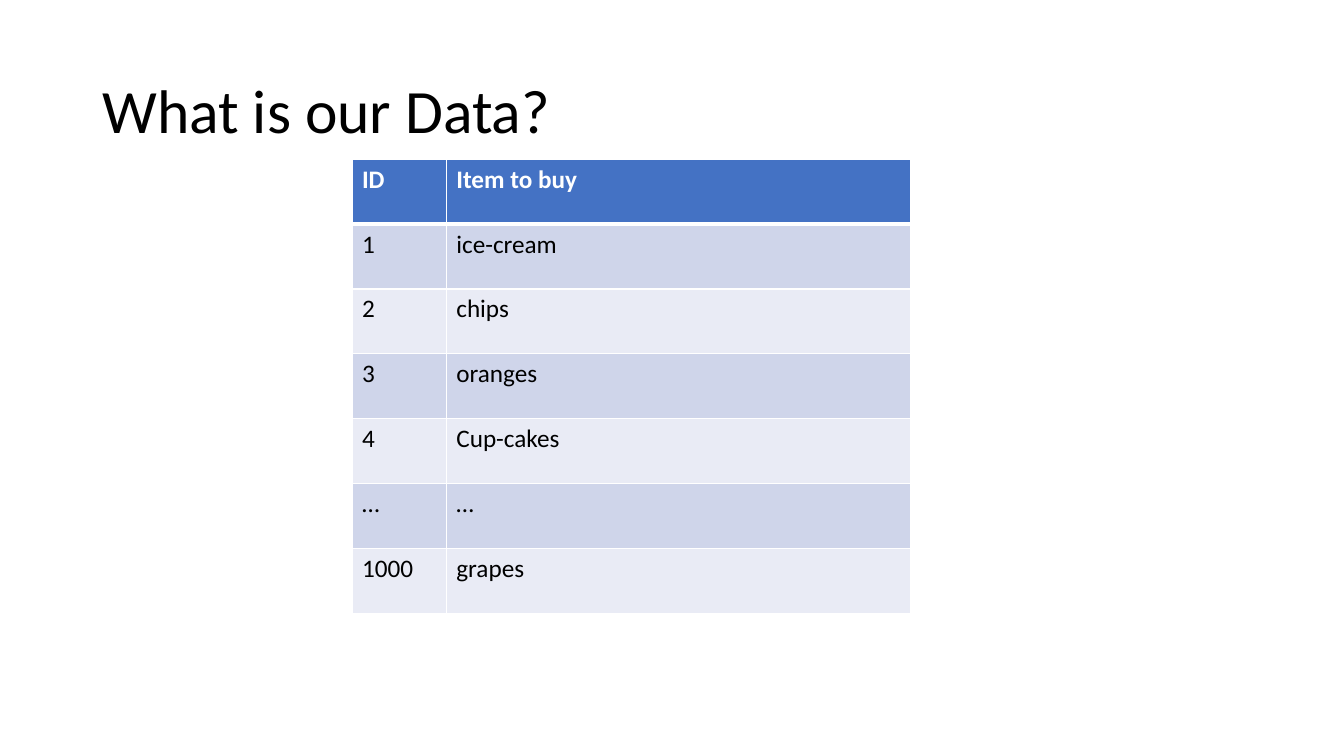
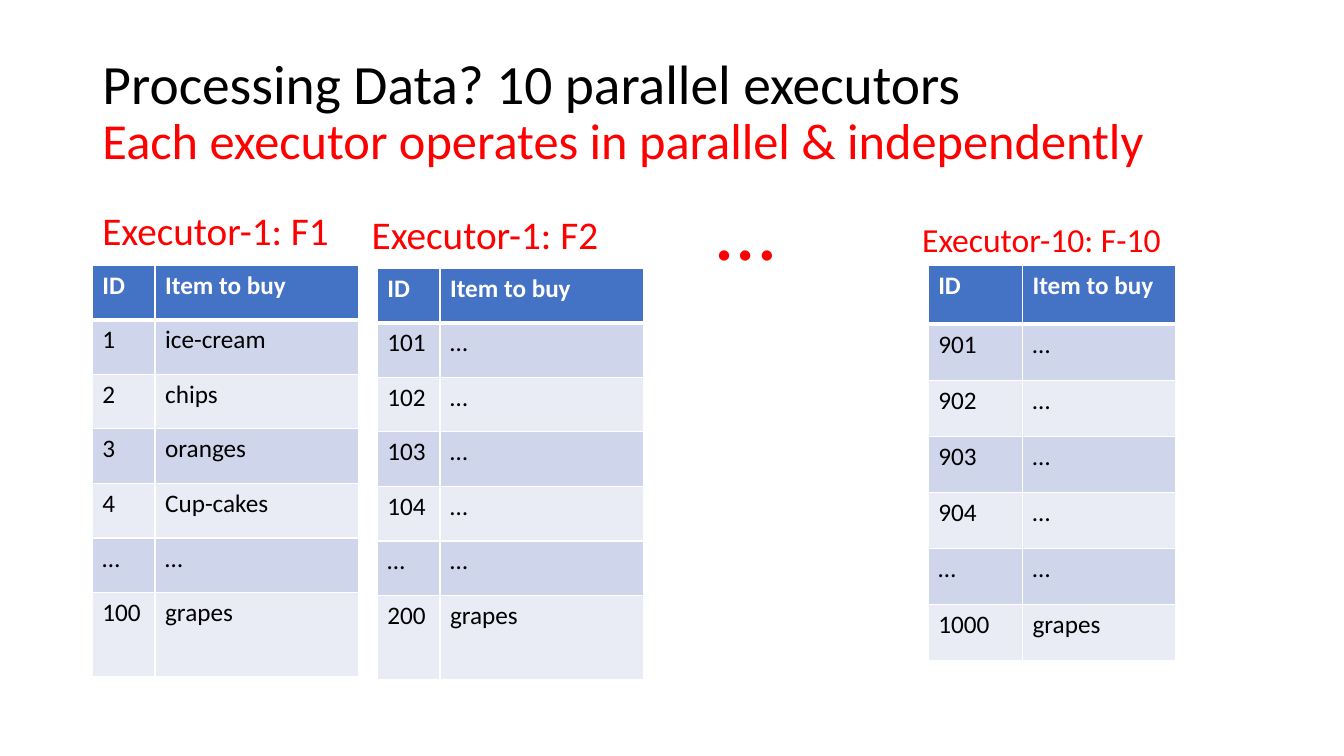
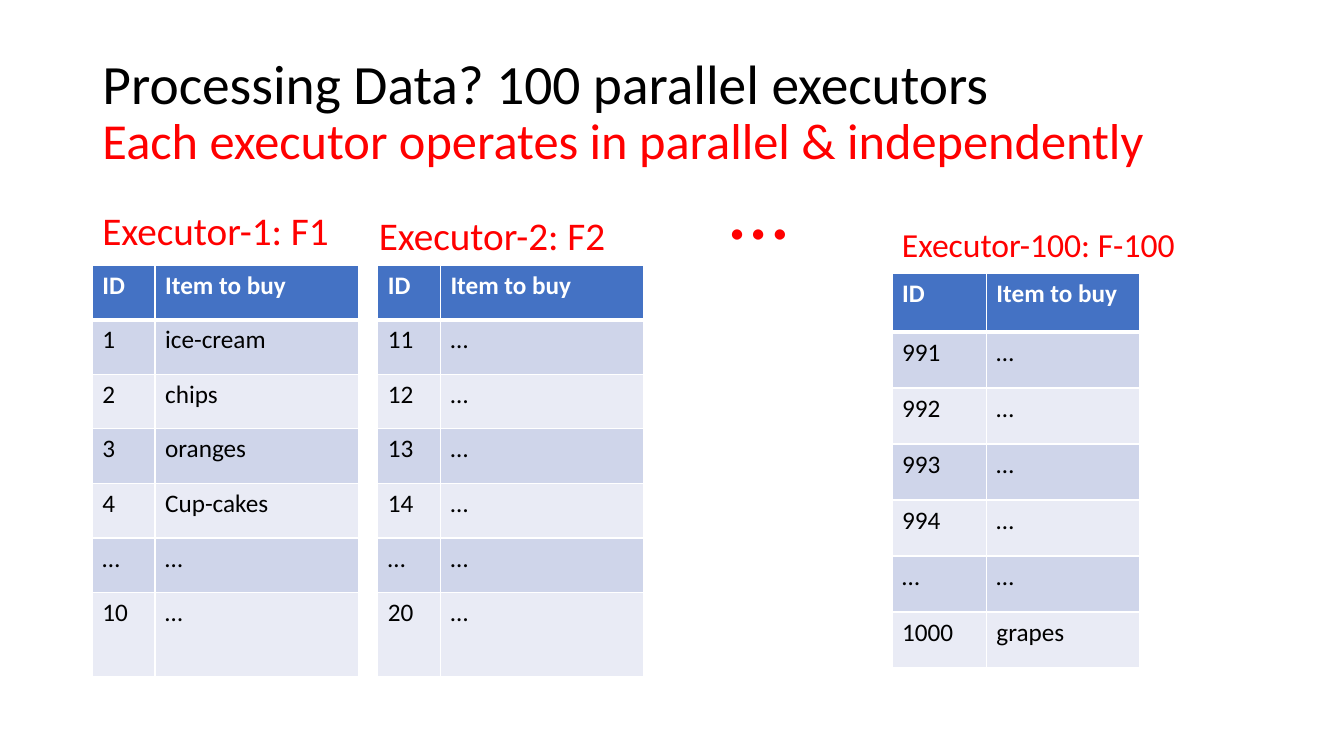
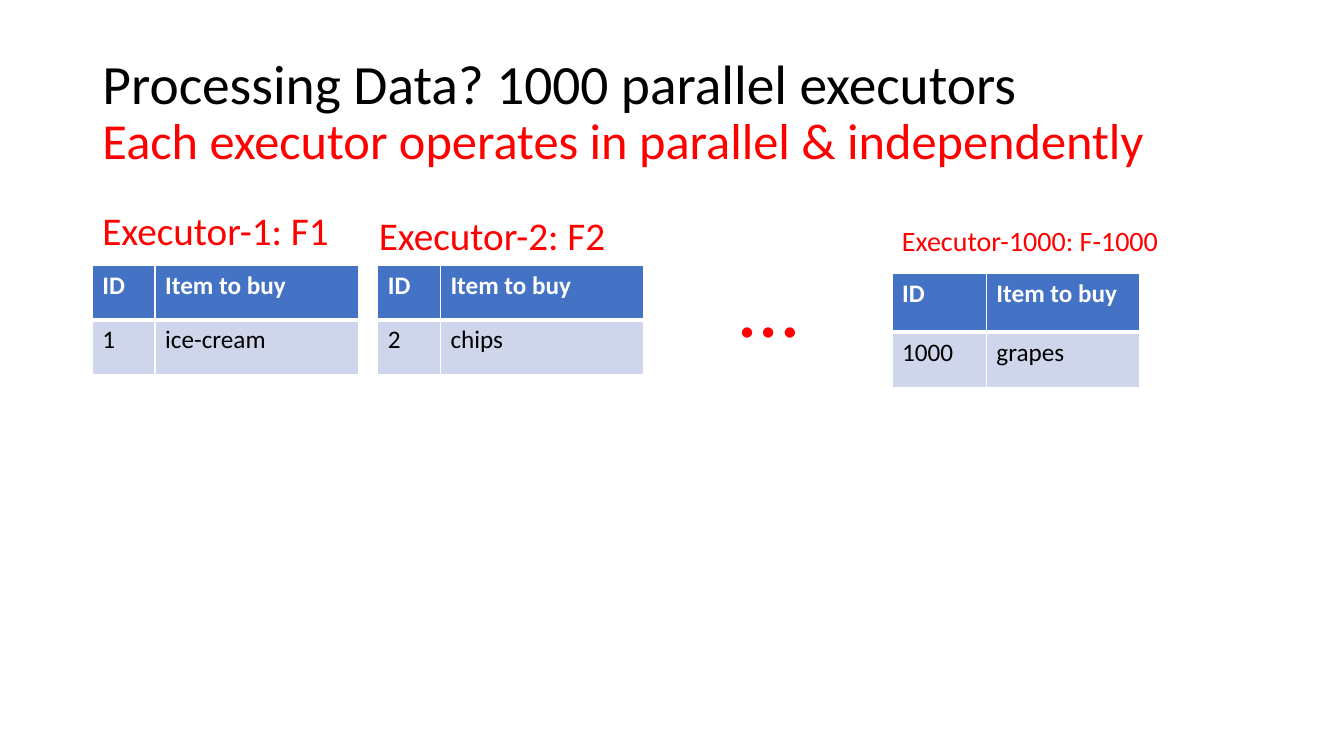
import pptx
import pptx.dml.color
import pptx.enum.text
import pptx.oxml
import pptx.oxml.ns
import pptx.util
from lxml import etree

Pt = pptx.util.Pt
COLORS = {
    "black": "000000",
    "white": "FFFFFF",
    "red": "FF0000",
    "header": "4472C4",
    "odd_row": "CFD5EA",
    "even_row": "E9EBF5",
}
FONT = "Calibri"
TITLE_BOX = (66, 28.8, 828, 104.4)
HEADER = ("ID", "Item to buy")
SHOPPING = ["ice-cream", "chips", "oranges", "Cup-cakes", "…"]
UNKNOWN = ["…"] * 5
WIDE_COLUMNS = (67.4, 331.6)
FIRST_COLUMNS = (44.8, 145.4)
LAST_COLUMNS = (67.4, 109.6)
FIRST_ROWS = [39] * 6 + [60]
LAST_ROWS = [42.2] + [40] * 6


def rgb(name):
    return pptx.dml.color.RGBColor.from_string(COLORS[name])


def write_text(frame, text, size=18, color="black", bold=False, spacing=None):
    """Add text to the first paragraph, on a new line if it has text already."""
    paragraph = frame.paragraphs[0]
    paragraph.alignment = pptx.enum.text.PP_ALIGN.LEFT
    if spacing:
        paragraph.line_spacing = spacing
    if paragraph.runs:
        previous_size = paragraph.runs[-1].font.size
        paragraph.add_line_break()
        line_break = paragraph._p[-1]
        properties = etree.SubElement(line_break, pptx.oxml.ns.qn("a:rPr"))
        properties.set("sz", str(int(previous_size.pt * 100)))
    run = paragraph.add_run()
    run.text = text
    run.font.name = FONT
    run.font.size = Pt(size)
    run.font.bold = bold
    run.font.color.rgb = rgb(color)


def place_title(layout):
    title = layout.placeholders[0]
    title.left, title.top, title.width, title.height = map(Pt, TITLE_BOX)


def add_titled_slide(deck, title, subtitle=None):
    slide = deck.slides.add_slide(deck.slide_layouts[5])
    frame = slide.shapes.title.text_frame
    frame.auto_size = pptx.enum.text.MSO_AUTO_SIZE.NONE
    frame.vertical_anchor = pptx.enum.text.MSO_ANCHOR.MIDDLE
    write_text(frame, title, size=39.6 if subtitle else 44, spacing=0.9)
    if subtitle:
        write_text(frame, subtitle, size=36, color="red", spacing=0.9)
    return slide


def add_label(slide, text, box, size=28, spacing=0.9, middle=True):
    frame = slide.shapes.add_textbox(*map(Pt, box)).text_frame
    frame.word_wrap = True
    if middle:
        frame.vertical_anchor = pptx.enum.text.MSO_ANCHOR.MIDDLE
    write_text(frame, text, size=size, color="red", spacing=spacing)


def add_ellipsis(slide, left, top, width=190):
    add_label(slide, "…", (left, top, width, 71.3), size=61, spacing=0.8)


def set_borders(cell, bottom):
    properties = cell._tc.get_or_add_tcPr()
    for side, width in (("L", 1), ("R", 1), ("T", 1), ("B", bottom)):
        properties.append(pptx.oxml.parse_xml(
            f'<a:ln{side} {pptx.oxml.ns.nsdecls("a")} w="{Pt(width)}"><a:solidFill>'
            f'<a:srgbClr val="{COLORS["white"]}"/></a:solidFill></a:ln{side}>'))


def add_items_table(slide, left, top, columns, row_heights, ids, items):
    """Draw a header row and one row for each id and its item."""
    records = [HEADER, *zip(ids.split(), items)]
    heights = row_heights[:len(records)]
    table = slide.shapes.add_table(
        len(records), len(columns),
        *map(Pt, (left, top, sum(columns), sum(heights)))).table
    for column, width in zip(table.columns, columns):
        column.width = Pt(width)
    for index, (record, height) in enumerate(zip(records, heights)):
        table.rows[index].height = Pt(height)
        is_header = index == 0
        fill = "header" if is_header else "odd_row" if index % 2 else "even_row"
        for cell, value in zip(table.rows[index].cells, record):
            set_borders(cell, bottom=3 if is_header else 1)
            cell.fill.solid()
            cell.fill.fore_color.rgb = rgb(fill)
            write_text(cell.text_frame, value, bold=is_header,
                       color="white" if is_header else "black")


def add_executors_slide(deck, count, first, second, last, ellipsis):
    """Each executor is (label, label position, table position, ids, items)."""
    slide = add_titled_slide(deck, f"Processing Data? {count} parallel executors",
                             "Each executor operates in parallel & independently")
    for label, corner, table_corner, ids, items in (first, second):
        add_label(slide, label, (*corner, 190, 45.3))
        add_items_table(slide, *table_corner, FIRST_COLUMNS, FIRST_ROWS, ids, items)
    label, corner, table_corner, ids, items = last
    add_label(slide, label, (*corner, 249, 36), size=20 if count == 1000 else 24,
              spacing=None, middle=False)
    add_items_table(slide, *table_corner, LAST_COLUMNS, LAST_ROWS, ids, items)
    add_ellipsis(slide, *ellipsis)


def main():
    deck = pptx.Presentation()
    deck.slide_width, deck.slide_height = Pt(960), Pt(540)
    place_title(deck.slide_layouts[5])

    data = add_titled_slide(deck, "What is our Data?")
    add_items_table(data, 251.4, 113.6, WIDE_COLUMNS, [46.4] * 7,
                    "1 2 3 4 … 1000", SHOPPING + ["grapes"])

    first_places = ("Executor-1: F1", (66, 143.5), (66, 189.4))
    second_places = ("Executor-2: F2", (263.5, 146.9), (269.8, 189.4))
    last_places = ((637.2, 156.2), (637.2, 195))
    add_executors_slide(
        deck, 10,
        first=(*first_places, "1 2 3 4 … 100", SHOPPING + ["grapes"]),
        second=("Executor-1: F2", (258.4, 146.2), (269.5, 191.5),
                "101 102 103 104 … 200", UNKNOWN + ["grapes"]),
        last=("Executor-10: F-10", (651.6, 153), (663, 189.4),
              "901 902 903 904 … 1000", UNKNOWN + ["grapes"]),
        ellipsis=(504.7, 133.2, 82))
    add_executors_slide(
        deck, 100,
        first=(*first_places, "1 2 3 4 … 10", SHOPPING + ["…"]),
        second=(*second_places, "11 12 13 14 … 20", UNKNOWN + ["…"]),
        last=("Executor-100: F-100", *last_places,
              "991 992 993 994 … 1000", UNKNOWN + ["grapes"]),
        ellipsis=(514, 118))
    add_executors_slide(
        deck, 1000,
        first=(*first_places, "1", ["ice-cream"]),
        second=(*second_places, "2", ["chips"]),
        last=("Executor-1000: F-1000", *last_places, "1000", ["grapes"]),
        ellipsis=(521.3, 188))
    deck.save("out.pptx")


if __name__ == "__main__":
    main()
